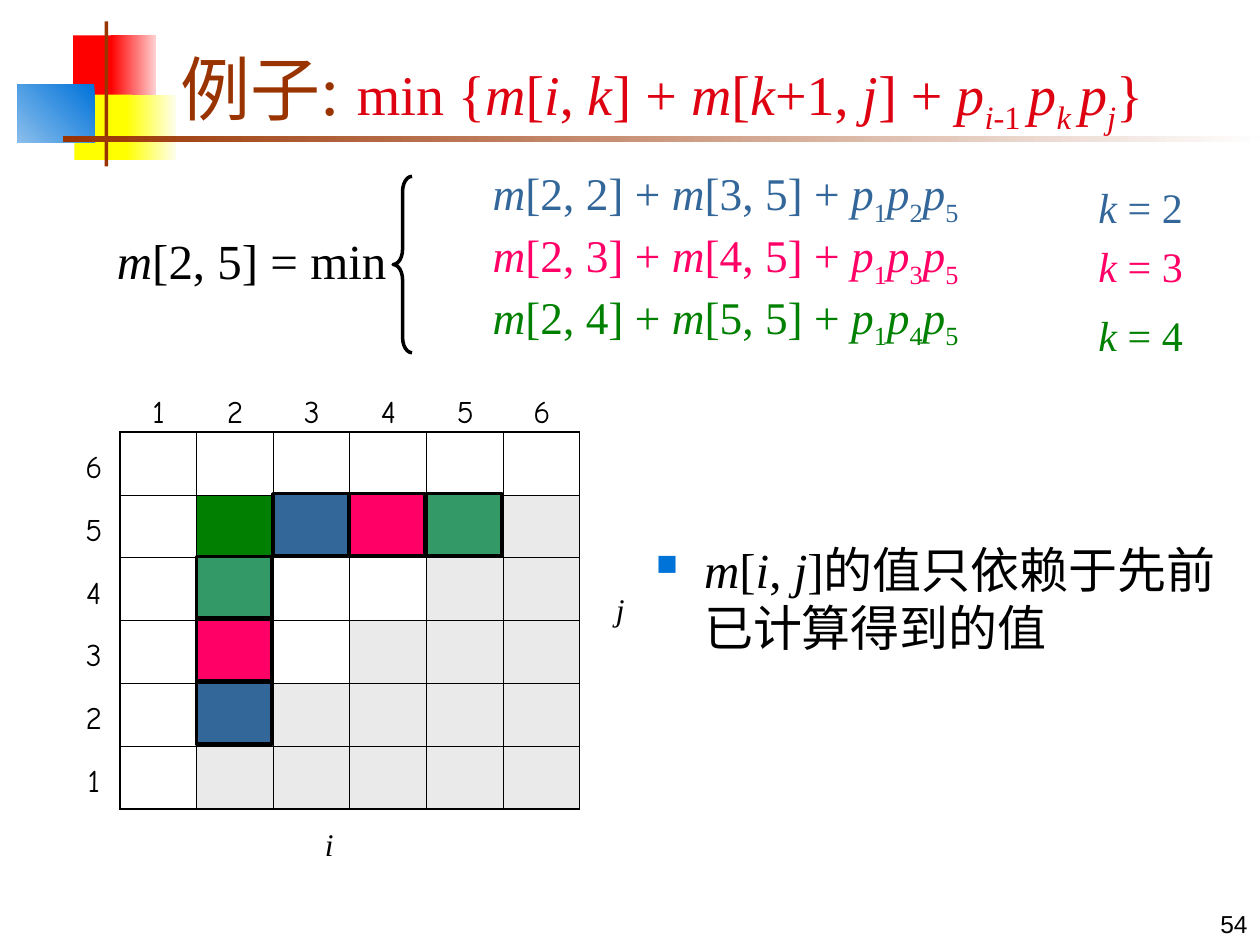
from lxml.etree import SubElement
from pptx import Presentation
from pptx.dml.color import RGBColor
from pptx.enum.shapes import MSO_SHAPE
from pptx.enum.text import MSO_ANCHOR, MSO_AUTO_SIZE, PP_ALIGN
from pptx.oxml.ns import qn
from pptx.util import Inches, Pt

SERIF, HAND, SANS = "Times New Roman", "Comic Neue", "Arial"
BLACK, GREY, BROWN = "000000", "EAEAEA", "993300"
BLUE, PINK, GREEN, TEAL = "336699", "FF0066", "008000", "339966"
GRID_SIZE = 6
GRID_LEFT, GRID_TOP, GRID_WIDTH, GRID_HEIGHT = 0.95, 3.43, 3.65, 2.99
CELL_WIDTH, CELL_HEIGHT = GRID_WIDTH / GRID_SIZE, GRID_HEIGHT / GRID_SIZE


def rgb(value):
    return RGBColor.from_string(value)


def write(paragraph, markup, size, color=BLACK, font=SERIF):
    """Add runs to a paragraph; * toggles italic and ~ toggles subscript."""
    italic = subscript = False
    for piece in markup.replace("*", "|*|").replace("~", "|~|").split("|"):
        if piece == "*":
            italic = not italic
        elif piece == "~":
            subscript = not subscript
        elif piece:
            run = paragraph.add_run()
            run.text = piece
            formats = {"name": font, "size": Pt(size), "italic": italic, "bold": False}
            for name, value in formats.items():
                setattr(run.font, name, value)
            run.font.color.rgb = rgb(color)
            if subscript:
                run.font._element.set("baseline", "-25000")


def set_indent(paragraph, left, first=0):
    properties = paragraph._p.get_or_add_pPr()
    properties.set("marL", str(Inches(left)))
    properties.set("indent", str(Inches(first)))
    return properties


def place(shape, left, top, width, height):
    bounds = {"left": left, "top": top, "width": width, "height": height}
    for name, value in bounds.items():
        setattr(shape, name, Inches(value))


def add_text(slide, bounds, markup, size, color=BLACK, font=SERIF,
             align=PP_ALIGN.LEFT, wrap=False):
    box = slide.shapes.add_textbox(*map(Inches, bounds))
    box.text_frame.word_wrap = wrap
    paragraph = box.text_frame.paragraphs[0]
    paragraph.alignment = align
    write(paragraph, markup, size, color, font)
    return box


def add_rectangle(slide, bounds, color, end_color=None, angle=0, outlined=False):
    """Add a plain or gradient rectangle; the angle runs clockwise."""
    shape = slide.shapes.add_shape(MSO_SHAPE.RECTANGLE, *map(Inches, bounds))
    shape.shadow.inherit = False
    if end_color:
        shape.fill.gradient()
        shape.fill.gradient_angle = 360 - angle
        for stop, value in zip(shape.fill.gradient_stops, (color, end_color)):
            stop.color.rgb = rgb(value)
    else:
        shape.fill.solid()
        shape.fill.fore_color.rgb = rgb(color)
    if outlined:
        shape.line.color.rgb = rgb(BLACK)
        shape.line.width = Pt(2)
    else:
        shape.line.fill.background()


def add_decoration(slide):
    add_rectangle(slide, (0.58, 0.28, 0.35, 0.52), "FF0000")
    add_rectangle(slide, (0.88, 0.28, 0.36, 0.52), "FED0D0", "FF0000", 180)
    add_rectangle(slide, (0.59, 0.75, 0.46, 0.52), "FFFF00")
    add_rectangle(slide, (1, 0.75, 0.4, 0.52), "FEFEEF", "FFFF00", 180)
    add_rectangle(slide, (0.14, 0.67, 0.61, 0.46), "0073D9", "8ABEEC", 135)
    add_rectangle(slide, (0.83, 0.17, 0.03, 1.15), BROWN)
    add_rectangle(slide, (0.5, 1.08, 9.5, 0.05), "FEFEFE", BROWN, 180)


def fill_placeholders(slide):
    title, body = slide.placeholders
    for shape in (title, body):
        shape.element.getparent().append(shape.element)
        shape.text_frame.auto_size = MSO_AUTO_SIZE.NONE
        shape.text_frame.word_wrap = True

    place(title, 1.33, 0.25, 8.52, 0.92)
    title.text_frame.vertical_anchor = MSO_ANCHOR.BOTTOM
    title.text_frame.margin_bottom = Inches(0.09)
    heading = title.text_frame.paragraphs[0]
    heading.alignment = PP_ALIGN.LEFT
    write(heading, "例子: ", 40, BROWN)
    write(heading, "min {*m*[*i*, *k*] + *m*[*k*+1, *j*] + *p~i*-1 ~*p~k ~p~j~*}",
          32, "DD0111")

    place(body, 0.43, 1.31, 9.12, 1.51)
    frame = body.text_frame
    for k, color in zip((2, 3, 4), (BLUE, PINK, GREEN)):
        paragraph = frame.paragraphs[0] if k == 2 else frame.add_paragraph()
        SubElement(set_indent(paragraph, 3.38), qn("a:buNone"))
        paragraph.line_spacing = 0.8
        paragraph.space_before = Pt(7)
        write(paragraph, f"*m*[2, {k}] + *m*[{k + 1}, 5] + *p*~1~*p*~{k}~*p*~5~",
              25.9, color)


def set_borders(cell, row, column):
    """Draw thin black borders, heavier on the outside of the grid."""
    last = GRID_SIZE - 1
    outer = {"a:lnL": column == 0, "a:lnR": column == last,
             "a:lnT": row == 0, "a:lnB": row == last}
    properties = cell._tc.get_or_add_tcPr()
    for tag, is_outer in outer.items():
        line = SubElement(properties, qn(tag), w=str(Pt(1.08 if is_outer else 0.45)))
        SubElement(SubElement(line, qn("a:solidFill")), qn("a:srgbClr"), val=BLACK)


def add_grid(slide):
    bounds = (GRID_LEFT, GRID_TOP, GRID_WIDTH, GRID_HEIGHT)
    table = slide.shapes.add_table(GRID_SIZE, GRID_SIZE, *map(Inches, bounds)).table
    table.first_row = table.horz_banding = False
    for row in range(GRID_SIZE):
        for column in range(GRID_SIZE):
            cell = table.cell(row, column)
            set_borders(cell, row, column)
            i, j = column + 1, GRID_SIZE - row
            color = "007F00" if (i, j) == (2, 5) else GREY if i > j else None
            if color:
                cell.fill.solid()
                cell.fill.fore_color.rgb = rgb(color)
            else:
                cell.fill.background()


def add_grid_labels(slide):
    for index in range(GRID_SIZE):
        left = GRID_LEFT + (index + 0.5) * CELL_WIDTH - 0.16
        top = GRID_TOP + (index + 0.5) * CELL_HEIGHT - 0.18
        for x, y, number in ((left, 3.06, index + 1), (0.58, top, GRID_SIZE - index)):
            add_text(slide, (x, y, 0.33, 0.4), str(number), 18, font=HAND,
                     align=PP_ALIGN.CENTER)
    add_text(slide, (2.48, 6.5, 0.27, 0.4), "*i*", 18)
    add_text(slide, (4.79, 4.63, 0.27, 0.4), "*j*", 18)


def add_dependencies(slide):
    """Mark the pair of cells m[2, k] and m[k+1, 5] for each k."""
    for k, color in zip((2, 3, 4), (BLUE, PINK, TEAL)):
        for i, j in ((2, k), (k + 1, 5)):
            left = GRID_LEFT + (i - 1) * CELL_WIDTH
            top = GRID_TOP + (GRID_SIZE - j) * CELL_HEIGHT - 0.01
            add_rectangle(slide, (left, top, 0.6, 0.49), color, outlined=True)


def add_brace(slide):
    bounds = (3.12, 1.4, 0.15, 1.4)
    brace = slide.shapes.add_shape(MSO_SHAPE.LEFT_BRACE, *map(Inches, bounds))
    brace.shadow.inherit = False
    brace.adjustments[0] = 0.8
    brace.fill.background()
    brace.line.color.rgb = rgb(BLACK)
    brace.line.width = Pt(2)


def add_remark(slide):
    box = add_text(slide, (5.11, 4.23, 4.65, 1.57),
                   "*m*[*i*, *j*]的值只依赖于先前已计算得到的值", 28, wrap=True)
    paragraph = box.text_frame.paragraphs[0]
    properties = set_indent(paragraph, 0.38, -0.38)
    SubElement(SubElement(properties, qn("a:buClr")), qn("a:srgbClr"), val="0073D9")
    SubElement(properties, qn("a:buSzPct"), val="60000")
    SubElement(properties, qn("a:buChar"), char="■")
    paragraph.space_before = Pt(7)


def main():
    presentation = Presentation()
    presentation.slide_width, presentation.slide_height = Inches(10), Inches(7.5)
    slide = presentation.slides.add_slide(presentation.slide_layouts[1])
    add_decoration(slide)
    fill_placeholders(slide)
    add_grid(slide)
    add_grid_labels(slide)
    add_brace(slide)
    add_dependencies(slide)
    add_text(slide, (0.83, 1.78, 2.57, 0.68), "*m*[2, 5] = min", 28)
    add_remark(slide)
    for k, top, color in ((2, 1.39, BLUE), (3, 1.86, PINK), (4, 2.41, GREEN)):
        add_text(slide, (8.62, top, 0.87, 0.5), f"*k* = {k}", 24, color)
    number = add_text(slide, (7.92, 7, 2.08, 0.5), "54", 14, font=SANS,
                      align=PP_ALIGN.RIGHT, wrap=True)
    number.text_frame.vertical_anchor = MSO_ANCHOR.BOTTOM
    presentation.save("out.pptx")


if __name__ == "__main__":
    main()
